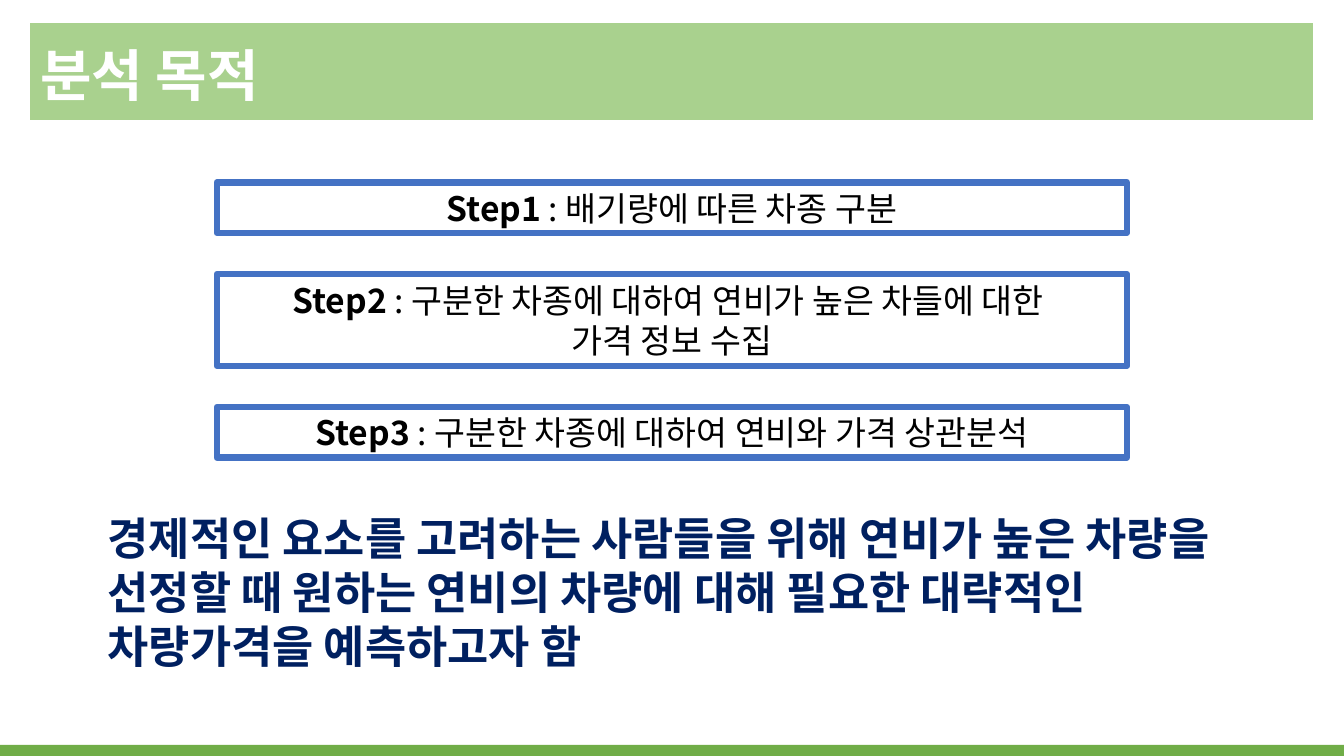
"""Build the analysis purpose slide with three steps and a goal."""
from lxml import etree
from pptx import Presentation
from pptx.dml.color import RGBColor
from pptx.enum.shapes import MSO_SHAPE
from pptx.enum.text import MSO_ANCHOR, PP_ALIGN
from pptx.oxml.ns import qn
from pptx.util import Pt

TITLE = "분석 목적"
STEPS = [
    ("Step1", [" : 배기량에 따른 차종 구분"]),
    ("Step2", [" : 구분한 차종에 대하여 연비가 높은 차들에 대한 ", "가격 정보 수집"]),
    ("Step3", [" : 구분한 차종에 대하여 연비와 가격 상관분석"]),
]
GOAL = ("경제적인 요소를 고려하는 사람들을 위해 연비가 높은 차량을 "
        "선정할 때 원하는 연비의 차량에 대해 필요한 대략적인 "
        "차량가격을 예측하고자 함")

FONT = "Noto Sans CJK KR"
COLORS = {"band": "A9D18E", "foot": "70AD47", "edge": "4472C4",
          "white": "FFFFFF", "black": "000000", "navy": "002060"}
RECT, BAND = MSO_SHAPE.RECTANGLE, MSO_SHAPE.FLOWCHART_PROCESS
CENTER, MIDDLE = PP_ALIGN.CENTER, MSO_ANCHOR.MIDDLE
WIDE, HIGH = 960, 540
LEFT, TOP, WIDTH = 154.8, 130.3, 650.2
BASE, LINE, GAP = 36, 29.5, 29.5
FOOT = 8


def paint(part, color):
    part.solid()
    part.fore_color.rgb = RGBColor.from_string(COLORS[color])


def add_run(para, text, size, color, bold):
    run = para.add_run()
    run.text = text
    font = run.font
    font.size, font.bold = Pt(size), bold
    paint(font.fill, color)
    font.name = FONT
    east = etree.SubElement(run._r.get_or_add_rPr(), qn("a:ea"))
    east.set("typeface", FONT)


def add_box(slide, kind, area, color=None):
    box = slide.shapes.add_shape(kind, *map(Pt, area))
    box.shadow.inherit = False
    if color:
        paint(box.fill, color)
        box.line.fill.background()
    else:
        box.fill.background()
    return box


def add_text(slide, area, text, size, color):
    frame = slide.shapes.add_textbox(*map(Pt, area)).text_frame
    frame.word_wrap = True
    add_run(frame.paragraphs[0], text, size, color, True)


def add_step(slide, top, height, label, lines):
    box = add_box(slide, RECT, (LEFT, top, WIDTH, height))
    paint(box.line.fill, "edge")
    box.line.width = Pt(4.5)
    etree.SubElement(box.line._get_or_add_ln(), qn("a:round"))
    frame = box.text_frame
    frame.word_wrap, frame.vertical_anchor = True, MIDDLE
    for index, line in enumerate(lines):
        para = frame.add_paragraph() if index else frame.paragraphs[0]
        para.alignment = CENTER
        if not index:
            add_run(para, label, 24, "black", True)
        add_run(para, line, 24, "black", False)


def main():
    deck = Presentation()
    deck.slide_width, deck.slide_height = Pt(WIDE), Pt(HIGH)
    slide = deck.slides.add_slide(deck.slide_layouts[6])
    add_box(slide, BAND, (21.6, 16.6, 916.6, 69.1), "band")
    add_text(slide, (21.6, 25.2, 763.2, 55.4), TITLE, 40, "white")
    add_box(slide, RECT, (0, HIGH - FOOT, WIDE, FOOT), "foot")
    add_text(slide, (69.8, 361.4, 849.6, 123.8), GOAL, 32, "navy")
    top = TOP
    for label, lines in STEPS:
        height = BASE + LINE * (len(lines) - 1)
        add_step(slide, top, height, label, lines)
        top += height + GAP
    deck.save("out.pptx")


if __name__ == "__main__":
    main()
